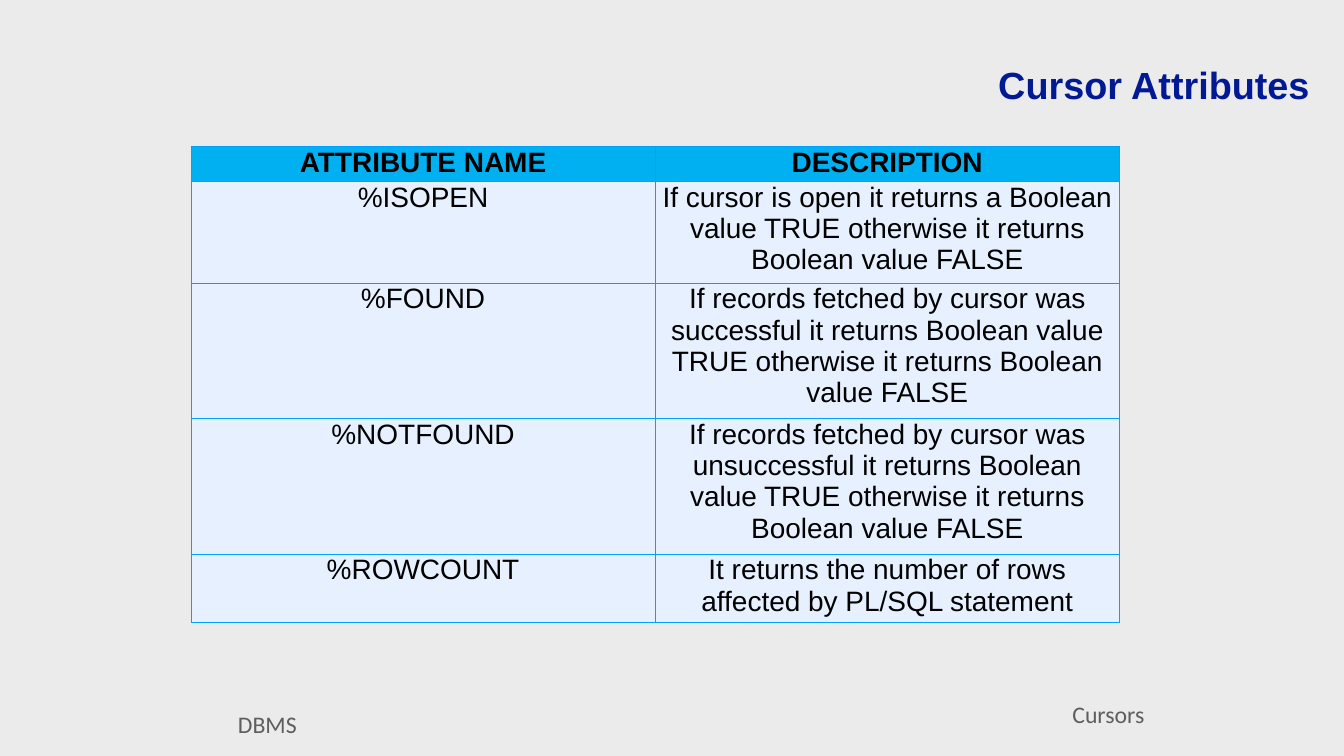
from dataclasses import dataclass

from lxml.etree import SubElement
from pptx import Presentation
from pptx.dml.color import RGBColor
from pptx.enum.shapes import MSO_SHAPE
from pptx.enum.text import MSO_ANCHOR, PP_ALIGN
from pptx.oxml.ns import qn
from pptx.util import Inches, Pt


@dataclass(frozen=True)
class Theme:
    background: str = "EBEBEB"
    title: str = "011993"
    footer: str = "5E5E5E"
    text: str = "000000"
    header_fill: str = "00B0F0"
    body_fill: str = "E7F0FF"
    border: str = "00A2FF"
    title_size: int = 54
    table_size: int = 40
    footer_size: int = 34
    font: str = "Arial"
    footer_font: str = "Calibri"


theme = Theme()


def write(tf, text, font, size, color, align, inset, bold=False):
    tf.text = text
    tf.word_wrap = True
    tf.margin_left = tf.margin_right = tf.margin_top = tf.margin_bottom = Inches(inset)
    tf.vertical_anchor = MSO_ANCHOR.MIDDLE
    p = tf.paragraphs[0]
    p.alignment = align
    r = p.runs[0]
    r.font.name = font
    r.font.size = Pt(size)
    r.font.bold = bold
    r.font.color.rgb = RGBColor.from_string(color)


def add_borders(cell):
    tc_pr = cell._tc.get_or_add_tcPr()
    for i, side in enumerate(("a:lnL", "a:lnR", "a:lnT", "a:lnB")):
        ln = tc_pr.makeelement(qn(side), {"w": str(Pt(1))})
        tc_pr.insert(i, ln)
        fill = SubElement(ln, qn("a:solidFill"))
        SubElement(fill, qn("a:srgbClr"), val=theme.border)


prs = Presentation()
prs.slide_width = Inches(26.67)
prs.slide_height = Inches(15)
s = prs.slides.add_slide(prs.slide_layouts[6])
s.background.fill.solid()
s.background.fill.fore_color.rgb = RGBColor.from_string(theme.background)

for text, left, top in (("DBMS", 0.42, 13.97), ("Cursors", 17.11, 13.78)):
    sp = s.shapes.add_shape(MSO_SHAPE.RECTANGLE, Inches(left), Inches(top), Inches(9.77), Inches(0.78))
    sp.shadow.inherit = False
    sp.fill.solid()
    sp.fill.fore_color.rgb = RGBColor.from_string(theme.background)
    sp.line.fill.background()
    write(sp.text_frame, text, theme.footer_font, theme.footer_size, theme.footer, PP_ALIGN.CENTER, 0)

title = s.shapes.add_textbox(Inches(1.55), Inches(1.16), Inches(24.5), Inches(1.02))
write(title.text_frame, "Cursor Attributes", theme.font, theme.title_size, theme.title,
      PP_ALIGN.RIGHT, 0.06, bold=True)

attributes = [
    ("ATTRIBUTE NAME", "DESCRIPTION"),
    ("%ISOPEN", "If cursor is open it returns a Boolean value TRUE otherwise it returns Boolean value FALSE"),
    ("%FOUND", "If records fetched by cursor was successful it returns Boolean value TRUE otherwise it returns Boolean value FALSE"),
    ("%NOTFOUND", "If records fetched by cursor was unsuccessful it returns Boolean value TRUE otherwise it returns Boolean value FALSE"),
    ("%ROWCOUNT", "It returns the number of rows affected by PL/SQL statement"),
]
row_heights = [0.69, 2.02, 2.68, 2.68, 1.36]

table = s.shapes.add_table(len(attributes), 2, Inches(3.79), Inches(2.91),
                           Inches(18.42), Inches(sum(row_heights))).table
for col in table.columns:
    col.width = Inches(9.21)
for i, (texts, height) in enumerate(zip(attributes, row_heights)):
    table.rows[i].height = Inches(height)
    for j, text in enumerate(texts):
        cell = table.cell(i, j)
        write(cell.text_frame, text, theme.font, theme.table_size, theme.text,
              PP_ALIGN.CENTER, 0, bold=i == 0)
        cell.margin_left = cell.margin_right = Inches(0.02)
        cell.margin_top = cell.margin_bottom = Inches(0.01)
        cell.vertical_anchor = MSO_ANCHOR.TOP
        cell.fill.solid()
        cell.fill.fore_color.rgb = RGBColor.from_string(theme.header_fill if i == 0 else theme.body_fill)
        add_borders(cell)

prs.save("out.pptx")
